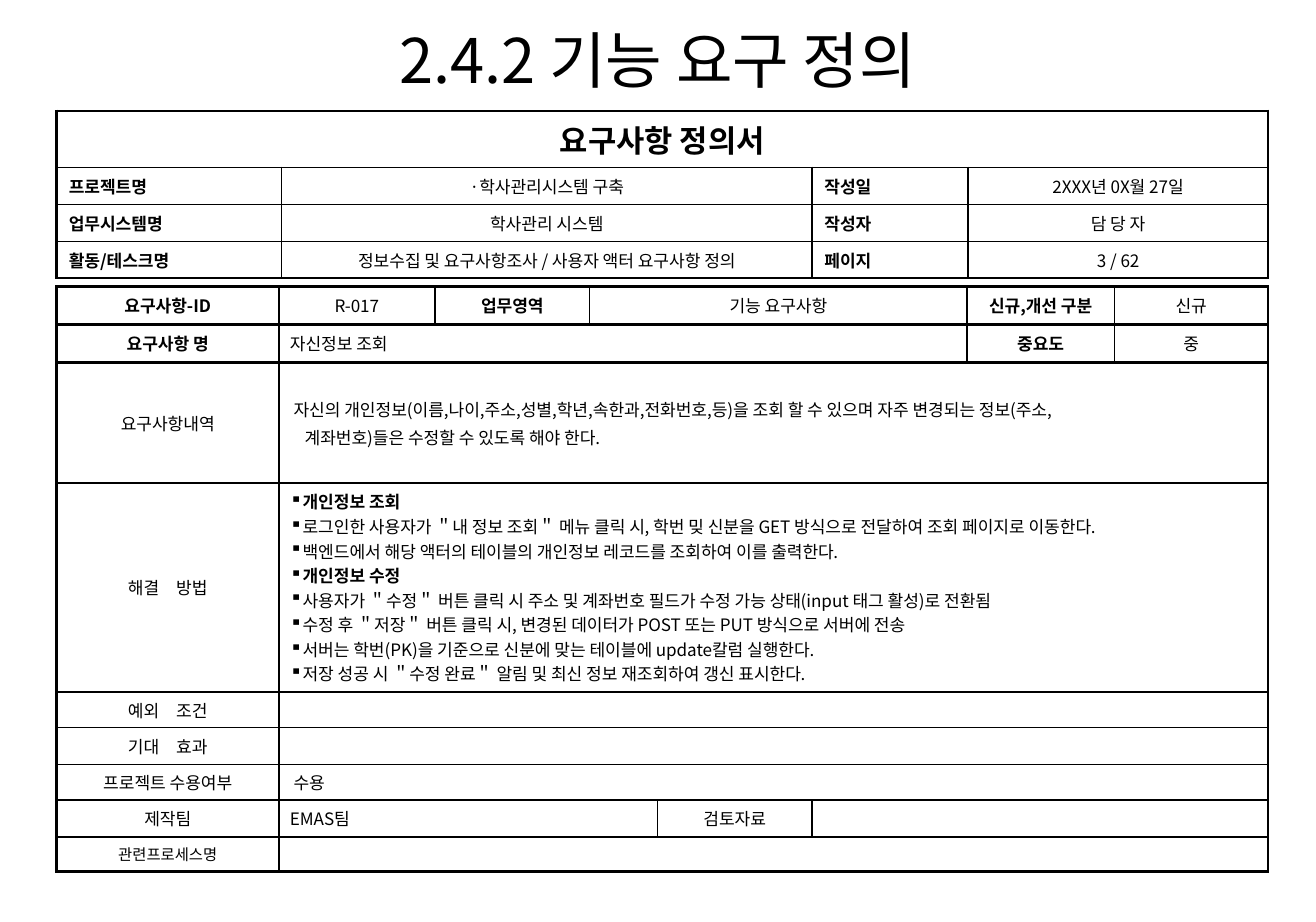
from dataclasses import dataclass
from lxml.etree import SubElement
from pptx import Presentation
from pptx.dml.color import RGBColor
from pptx.enum.text import MSO_ANCHOR, PP_ALIGN
from pptx.oxml.ns import qn
from pptx.util import Inches, Pt

BLACK = RGBColor(0x00, 0x00, 0x00)
WHITE = RGBColor(0xFF, 0xFF, 0xFF)
THIN, THICK = Pt(1), Pt(1.5)


@dataclass
class Line:
    """One paragraph and its format; the indent is in grid columns."""
    text: str
    bold: bool = False
    align: PP_ALIGN = PP_ALIGN.CENTER
    size: float = 10
    bullet: bool = False
    indent: int = 0
    before: float = 0
    spacing: float = 1.0


def label(text):
    return Line(text, bold=True)


def heading(text):
    return Line(text, bold=True, align=PP_ALIGN.JUSTIFY)


def left(text, **formats):
    return Line(text, align=PP_ALIGN.LEFT, **formats)


class FormSlide:
    """Slide on a grid of 1071 columns by 750 rows, with one text style."""
    COLUMNS, ROWS = 1071, 750
    FONT = "Noto Sans CJK KR"

    def __init__(self, deck):
        deck.slide_width, deck.slide_height = Inches(10.71), Inches(7.5)
        self.column = deck.slide_width // self.COLUMNS
        self.row = deck.slide_height // self.ROWS
        self.page = deck.slides.add_slide(deck.slide_layouts[6])

    def area(self, x, y, width, height):
        return x * self.column, y * self.row, width * self.column, height * self.row

    def add_lines(self, frame, lines):
        for number, line in enumerate(lines):
            para = frame.add_paragraph() if number else frame.paragraphs[0]
            props = para._p.get_or_add_pPr()
            props.set("marL", str(line.indent * self.column))
            props.set("indent", "0")
            if line.bullet:
                SubElement(props, qn("a:buChar"), char="▪")
            formats = {"alignment": line.align, "line_spacing": line.spacing,
                       "space_before": Pt(line.before)}
            for name, value in formats.items():
                setattr(para, name, value)
            span = para.add_run()
            span.text = line.text
            formats = {"name": self.FONT, "size": Pt(line.size), "bold": line.bold}
            for name, value in formats.items():
                setattr(span.font, name, value)
            span.font.color.rgb = BLACK
            SubElement(span._r.get_or_add_rPr(), qn("a:ea"), typeface=self.FONT)

    def title(self, text, *place):
        box = self.page.shapes.add_textbox(*self.area(*place))
        box.text_frame.word_wrap = True
        self.add_lines(box.text_frame, [Line(text, size=36, spacing=1.1)])

    def borders(self, cell, widths):
        props = cell._tc.get_or_add_tcPr()
        for side, width in zip("LRTB", widths):
            edge = SubElement(props, qn(f"a:ln{side}"), w=str(width))
            fill = SubElement(edge, qn("a:solidFill"))
            SubElement(fill, qn("a:srgbClr"), val=str(BLACK))

    def table(self, x, y, widths, heights, rows, margins, thick_rules):
        """Fill a table from rows of (columns spanned, line, line, ...)."""
        place = self.area(x, y, sum(widths), sum(heights))
        table = self.page.shapes.add_table(len(heights), len(widths), *place).table
        table.first_row = table.horz_banding = False
        for column, width in zip(table.columns, widths):
            column.width = width * self.column
        for row, height in zip(table.rows, heights):
            row.height = height * self.row
        for r, cells in enumerate(rows):
            top, bottom = (THICK if rule in thick_rules else THIN for rule in (r, r + 1))
            first = 0
            for count, *lines in cells:
                last = first + count - 1
                sides = (THIN if first else THICK,
                         THICK if last == len(widths) - 1 else THIN)
                for c in range(first, last + 1):
                    self.cell(table.cell(r, c), margins, (*sides, top, bottom))
                if count > 1:
                    table.cell(r, first).merge(table.cell(r, last))
                self.add_lines(table.cell(r, first).text_frame, lines)
                first = last + 1

    def cell(self, cell, margins, widths):
        across, down = margins
        self.borders(cell, widths)
        formats = {"margin_left": across, "margin_right": across, "margin_top": down,
                   "margin_bottom": down, "vertical_anchor": MSO_ANCHOR.MIDDLE}
        for name, value in formats.items():
            setattr(cell, name, value)
        cell.fill.solid()
        cell.fill.fore_color.rgb = WHITE
        # Keep empty cells as low as the text rows
        SubElement(cell.text_frame.paragraphs[0]._p, qn("a:endParaRPr"), sz="1000")


SUMMARY = [
    [(4, Line("요구사항 정의서", bold=True, size=18))],
    [(1, heading("프로젝트명")), (1, Line("·학사관리시스템 구축")),
     (1, heading("작성일")), (1, Line("2XXX년 0X월 27일"))],
    [(1, heading("업무시스템명")), (1, Line("학사관리 시스템")),
     (1, heading("작성자")), (1, Line("담 당 자"))],
    [(1, heading("활동/테스크명")), (1, Line("정보수집 및 요구사항조사 / 사용자 액터 요구사항 정의")),
     (1, heading("페이지")), (1, Line("3 / 62"))],
]

SOLUTION = [
    left("개인정보 조회", bold=True, bullet=True),
    left("로그인한 사용자가 ＂내 정보 조회＂ 메뉴 클릭 시, 학번 밎 신분을 GET 방식으로 전달하여 조회 페이지로 이동한다.", bullet=True),
    left("백엔드에서 해당 액터의 테이블의 개인정보 레코드를 조회하여 이를 출력한다.", bullet=True),
    left("개인정보 수정", bold=True, bullet=True),
    left("사용자가 ＂수정＂ 버튼 클릭 시 주소 및 계좌번호 필드가 수정 가능 상태(input 태그 활성)로 전환됨", bullet=True),
    left("수정 후 ＂저장＂ 버튼 클릭 시, 변경된 데이터가 POST 또는 PUT 방식으로 서버에 전송", bullet=True),
    left("서버는 학번(PK)을 기준으로 신분에 맞는 테이블에 update칼럼 실행한다.", bullet=True),
    left("저장 성공 시 ＂수정 완료＂ 알림 및 최신 정보 재조회하여 갱신 표시한다.", bullet=True),
]

REQUIREMENT = [
    [(1, label("요구사항-ID")), (1, Line("R-017")), (1, label("업무영역")),
     (3, Line("기능 요구사항")), (1, label("신규,개선 구분")), (1, Line("신규"))],
    [(1, label("요구사항 명")), (5, left("자신정보 조회")),
     (1, label("중요도")), (1, Line("중"))],
    [(1, Line("요구사항내역")),
     (7, left("자신의 개인정보(이름,나이,주소,성별,학년,속한과,전화번호,등)을 조회 할 수 있으며 자주 변경되는 정보(주소,", indent=3),
      left("계좌번호)들은 수정할 수 있도록 해야 한다.", indent=12, before=2))],
    [(1, Line("해결　방법")), (7, *SOLUTION)],
    [(1, Line("예외　조건")), (7,)],
    [(1, Line("기대　효과")), (7,)],
    [(1, Line("프로젝트 수용여부")), (7, left("수용", indent=3))],
    [(1, Line("제작팀")), (3, left("EMAS팀")), (1, Line("검토자료")), (3,)],
    [(1, Line("관련프로세스명", size=9)), (7,)],
]


def main():
    deck = Presentation()
    form = FormSlide(deck)
    # Document summary
    form.table(46, 90, [183, 432, 127, 244], [46, 30, 30, 30], SUMMARY,
               (Inches(0.1), Inches(0.05)), {0, 4})
    # Requirement details
    form.table(46, 233, [181, 127, 126, 55, 126, 126, 120, 125],
               [31, 31, 98, 170, 29, 30, 29, 30, 28], REQUIREMENT,
               (Inches(0.09), Inches(0.04)), {0, 1, 2, 9})
    # Slide title
    form.title("2.4.2 기능 요구 정의", 179, 7, 712, 144)
    deck.save("out.pptx")


if __name__ == "__main__":
    main()
